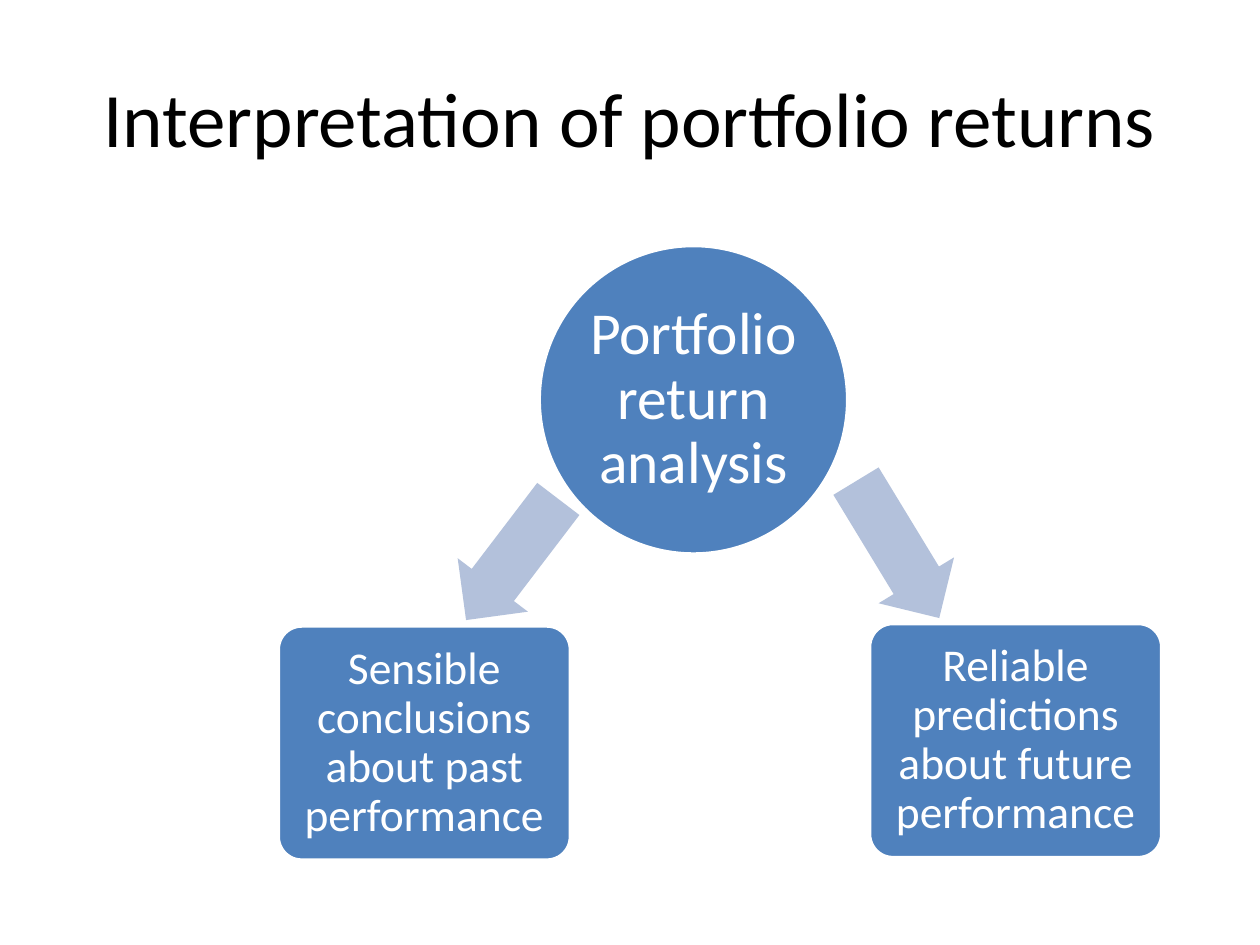
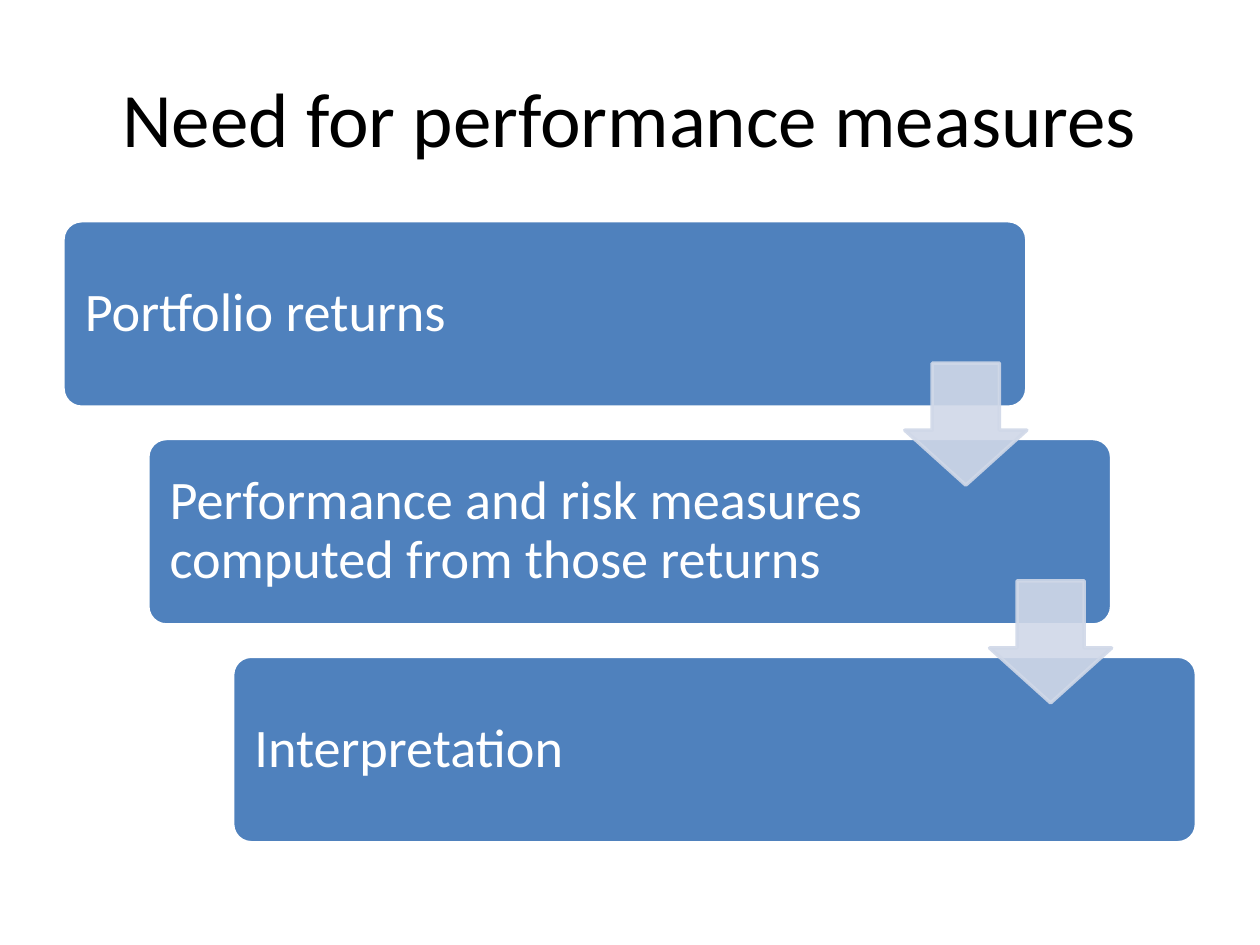
from lxml.etree import SubElement
from pptx import Presentation
from pptx.dml.color import RGBColor
from pptx.enum.shapes import MSO_SHAPE
from pptx.enum.text import MSO_ANCHOR, PP_ALIGN
from pptx.oxml.ns import qn
from pptx.util import Cm, Pt

FONT = "Calibri"
COLORS = {"title": "000000", "text": "FFFFFF", "edge": "FFFFFF",
          "node": "4F81BD", "branch": "B3C1DB", "step": "D0D8E8"}

# Content: positions and sizes in cm
BRANCH_TITLE = "Interpretation of portfolio returns"
HUB = ("Portfolio return analysis", 10.87, 4.95, 6.22)
OUTCOMES = [("Sensible conclusions about past performance", 5.61, 12.62),
            ("Reliable predictions about future performance", 17.53, 12.57)]
OUTCOME_SIZE = (5.89, 4.72)
BRANCHES = [(8.79, 10.39, 3.07, 1.78, 127.3),
            (16.48, 10.19, 3.23, 1.78, 58.7)]

STEPS_TITLE = "Need for performance measures"
STEPS = ["Portfolio returns",
         "Performance and risk measures computed from those returns",
         "Interpretation"]
STEP_START, STEP_SIZE = (1.27, 4.45), (19.43, 3.76)
STEP_SHIFT = (1.71, 4.39)
STEP_ARROW_START, STEP_ARROW_SIZE = (18.24, 7.32), 2.46


def rgb(name):
    return RGBColor.from_string(COLORS[name])


def write(s, text, size, color="text", align=PP_ALIGN.CENTER, spacing=None,
          insets=(0.25, 0.13, 0.25, 0.13)):
    tf = s.text_frame
    tf.word_wrap = True
    tf.vertical_anchor = MSO_ANCHOR.MIDDLE
    tf.margin_left, tf.margin_top, tf.margin_right, tf.margin_bottom = map(Cm, insets)
    p = tf.paragraphs[0]
    p.alignment = align
    if spacing:
        p.line_spacing = spacing
    r = p.add_run()
    r.text = text
    r.font.name, r.font.size = FONT, Pt(size)
    r.font.color.rgb = rgb(color)


def add_shape(slide, kind, box, fill, line=None, adj=()):
    s = slide.shapes.add_shape(kind, *map(Cm, box))
    s.shadow.inherit = False
    s.fill.solid()
    s.fill.fore_color.rgb = rgb(fill)
    if line:
        s.line.color.rgb = rgb(line)
        s.line.width = Pt(2)
    else:
        s.line.fill.background()
    for i, value in enumerate(adj):
        s.adjustments[i] = value
    return s


def add_node(slide, box, text, size, insets, kind=MSO_SHAPE.ROUNDED_RECTANGLE,
             adj=(0.1,), align=PP_ALIGN.CENTER):
    s = add_shape(slide, kind, box, "node", "edge", adj)
    write(s, text, size, align=align, spacing=0.9, insets=insets)


def set_opacity(s, percent):
    for color in s._element.spPr.iter(qn("a:srgbClr")):
        SubElement(color, qn("a:alpha"), val=str(percent * 1000))


def add_titled_slide(prs, title):
    slide = prs.slides.add_slide(prs.slide_layouts[6])
    s = slide.shapes.add_textbox(Cm(1.27), Cm(0.76), Cm(22.86), Cm(3.18))
    write(s, title, 44, "title")
    return slide


def build_branches(prs):
    slide = add_titled_slide(prs, BRANCH_TITLE)
    text, x, y, size = HUB
    add_node(slide, (x, y, size, size), text, 34, (0.05,) * 4, MSO_SHAPE.OVAL, ())
    for (text, x, y), (*box, angle) in zip(OUTCOMES, BRANCHES):
        arrow = add_shape(slide, MSO_SHAPE.RIGHT_ARROW, box, "branch", adj=(0.6, 0.5))
        arrow.rotation = angle
        add_node(slide, (x, y, *OUTCOME_SIZE), text, 26, (0.13,) * 4)


def build_steps(prs):
    slide = add_titled_slide(prs, STEPS_TITLE)
    dx, dy = STEP_SHIFT
    x, y = STEP_START
    for i, text in enumerate(STEPS):
        # The wide right inset keeps text clear of the arrows
        add_node(slide, (x + i * dx, y + i * dy, *STEP_SIZE), text, 31,
                 (0.33, 0.33, 4.3, 0.33), align=PP_ALIGN.LEFT)
    x, y = STEP_ARROW_START
    for i in range(len(STEPS) - 1):
        box = (x + i * dx, y + i * dy, STEP_ARROW_SIZE, STEP_ARROW_SIZE)
        arrow = add_shape(slide, MSO_SHAPE.DOWN_ARROW, box, "step", "step", (0.55, 0.45))
        set_opacity(arrow, 90)


def main():
    prs = Presentation()
    prs.slide_width, prs.slide_height = Cm(25.4), Cm(19.05)
    build_branches(prs)
    build_steps(prs)
    prs.save("out.pptx")


if __name__ == "__main__":
    main()
